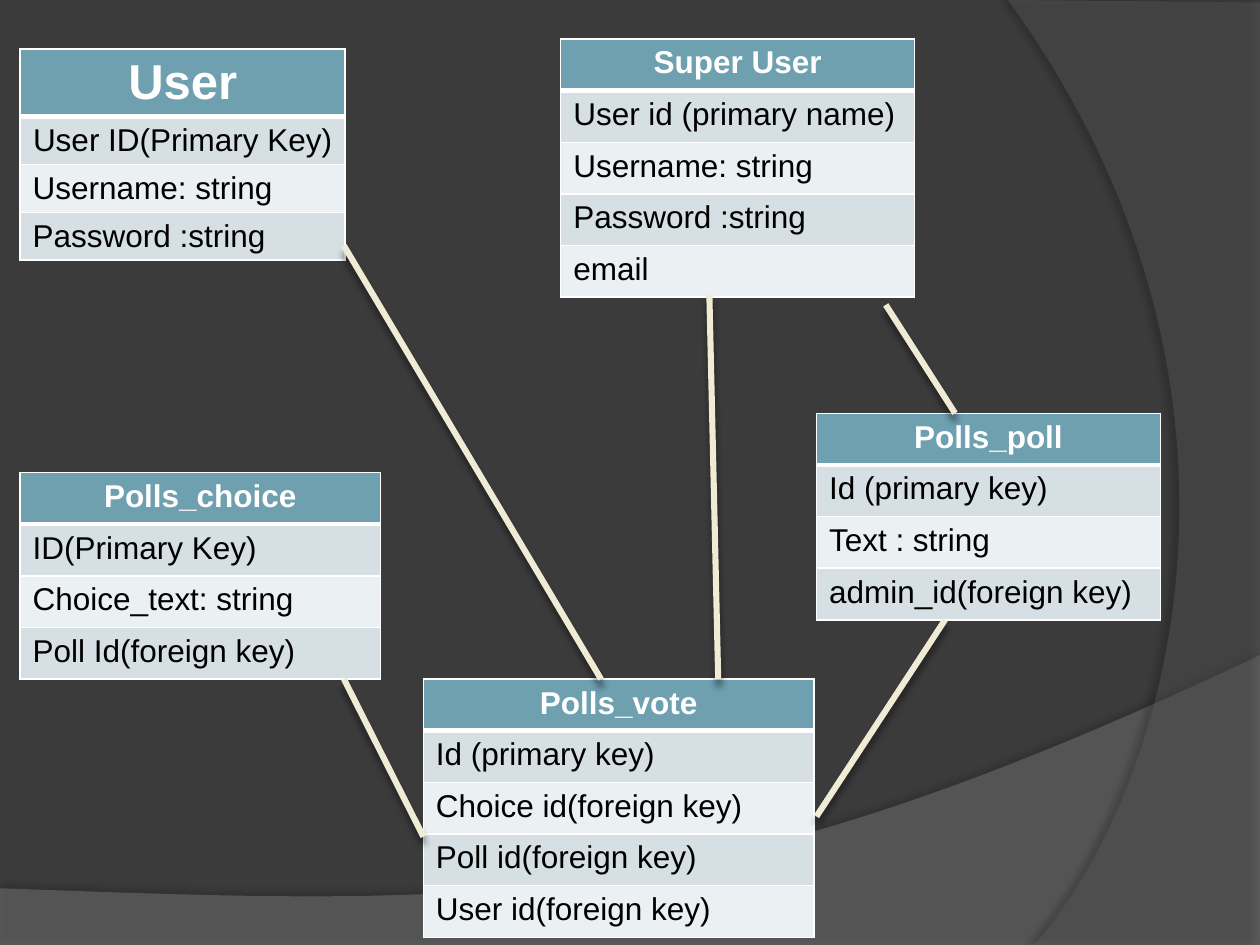
from lxml import etree
from pptx import Presentation
from pptx.dml.color import RGBColor
from pptx.enum.shapes import MSO_CONNECTOR
from pptx.enum.text import PP_ALIGN
from pptx.oxml.ns import qn
from pptx.util import Inches, Pt

STRAIGHT = MSO_CONNECTOR.STRAIGHT
LEFT, CENTER = PP_ALIGN.LEFT, PP_ALIGN.CENTER

COLORS = {
    "background": "3B3B3B", "sweep": "7F7F7F", "arc": "5E5E5E",
    "header": "6EA0B0", "odd": "D5DFE4", "even": "EBF0F2",
    "border": "FFFFFF", "header_text": "FFFFFF", "text": "000000",
    "link": "F0EBD5", "shadow": "000000",
}

TABLES = [
    {"at": (0.16, 0.39), "width": 2.58, "heights": (0.53, 0.38), "title_size": 28,
     "centered": (0, 1),
     "rows": ["User", "User ID(Primary Key)", "Username: string", "Password :string"]},
    {"at": (4.45, 0.31), "width": 2.81,
     "rows": ["Super User", "User id (primary name)", "Username: string",
              "Password :string", "email"]},
    {"at": (0.16, 3.75), "width": 2.86,
     "rows": ["Polls_choice", "ID(Primary Key)", "Choice_text: string",
              "Poll Id(foreign key)"]},
    {"at": (6.48, 3.28), "width": 2.73,
     "rows": ["Polls_poll", "Id (primary key)", "Text : string", "admin_id(foreign key)"]},
    {"at": (3.36, 5.39), "width": 3.1,
     "rows": ["Polls_vote", "Id (primary key)", "Choice id(foreign key)",
              "Poll id(foreign key)", "User id(foreign key)"]},
]

LINKS = [
    ((2.73, 1.95), (4.77, 5.39)),
    ((5.63, 2.34), (5.7, 5.39)),
    ((7.03, 2.42), (7.58, 3.28)),
    ((2.73, 5.39), (3.36, 6.64)),
    ((7.5, 4.92), (6.48, 6.48)),
]

BACKDROPS = [
    {"color": "sweep", "opacity": 45, "corners": [(0, 7.05), (0, 7.51), (10, 7.51)],
     "curve": [(10, 5.2), (5.59, 7.29), (3.91, 7.19), (0, 7.05)],
     "shadow": (35, 4, 3.5, 270)},
    {"color": "arc", "opacity": 40, "corners": [(10, 0.02), (10, 7.5)],
     "curve": [(8.21, 7.5), (9.35, 6.19), (10.18, 3), (8, 0)],
     "shadow": (45, 4, 4, 180)},
]
LINK_SHADOW = (43, 4, 4, 90)
CURVE_STEPS = 60


def rgb(name):
    return RGBColor.from_string(COLORS[name])


def add_color(parent, name, opacity=100):
    color = etree.SubElement(parent, qn("a:srgbClr"), val=COLORS[name])
    if opacity < 100:
        etree.SubElement(color, qn("a:alpha"), val=str(opacity * 1000))


def add_shadow(shape, opacity, blur, distance, angle):
    effects = etree.SubElement(shape._element.spPr, qn("a:effectLst"))
    shadow = etree.SubElement(
        effects, qn("a:outerShdw"), blurRad=str(Pt(blur)), dist=str(Pt(distance)),
        dir=str(angle * 60000), algn="ctr", rotWithShape="0")
    add_color(shadow, "shadow", opacity)


def curve_points(controls):
    for step in range(CURVE_STEPS + 1):
        t = step / CURVE_STEPS
        weights = ((1 - t) ** 3, 3 * t * (1 - t) ** 2, 3 * t ** 2 * (1 - t), t ** 3)
        yield tuple(sum(w * point[axis] for w, point in zip(weights, controls))
                    for axis in (0, 1))


def add_backdrop(page, backdrop):
    points = [(Inches(x), Inches(y))
              for x, y in backdrop["corners"] + list(curve_points(backdrop["curve"]))]
    builder = page.shapes.build_freeform(*points[0])
    builder.add_line_segments(points[1:], close=True)
    shape = builder.convert_to_shape()
    shape.fill.solid()
    shape.fill.fore_color.rgb = rgb(backdrop["color"])
    color = shape._element.spPr.find(".//" + qn("a:srgbClr"))
    etree.SubElement(color, qn("a:alpha"), val=str(backdrop["opacity"] * 1000))
    shape.line.fill.background()
    add_shadow(shape, *backdrop["shadow"])


def add_borders(cell, row):
    widths = {"L": 1, "R": 1, "T": 3 if row == 1 else 1, "B": 3 if row == 0 else 1}
    properties = cell._tc.get_or_add_tcPr()
    for index, (side, width) in enumerate(widths.items()):
        border = etree.Element(qn("a:ln" + side), w=str(Pt(width)))
        add_color(etree.SubElement(border, qn("a:solidFill")), "border")
        properties.insert(index, border)


def add_entity(page, entity):
    rows = entity["rows"]
    first, other = entity.get("heights", (0.41, 0.41))
    heights = [first] + [other] * (len(rows) - 1)
    left, top = entity["at"]
    table = page.shapes.add_table(
        len(rows), 1, Inches(left), Inches(top),
        Inches(entity["width"]), Inches(sum(heights))).table
    for index, text in enumerate(rows):
        header = index == 0
        table.rows[index].height = Inches(heights[index])
        cell = table.cell(index, 0)
        cell.fill.solid()
        cell.fill.fore_color.rgb = rgb("header" if header else "odd" if index % 2 else "even")
        add_borders(cell, index)
        para = cell.text_frame.paragraphs[0]
        para.alignment = CENTER if index in entity.get("centered", (0,)) else LEFT
        span = para.add_run()
        span.text = text
        span.font.color.rgb = rgb("header_text" if header else "text")
        size = entity.get("title_size", 18) if header else 18
        for name, value in {"name": "Arial", "size": Pt(size), "bold": header}.items():
            setattr(span.font, name, value)


def add_link(page, start, end):
    link = page.shapes.add_connector(
        STRAIGHT, *(Inches(value) for value in start + end))
    link.line.color.rgb = rgb("link")
    link.line.width = Pt(3.5)
    add_shadow(link, *LINK_SHADOW)


deck = Presentation()
deck.slide_width, deck.slide_height = Inches(10), Inches(7.5)
page = deck.slides.add_slide(deck.slide_layouts[6])
page.background.fill.solid()
page.background.fill.fore_color.rgb = rgb("background")
for backdrop in BACKDROPS:
    add_backdrop(page, backdrop)
for entity in TABLES:
    add_entity(page, entity)
for start, end in LINKS:
    add_link(page, start, end)
deck.save("out.pptx")
